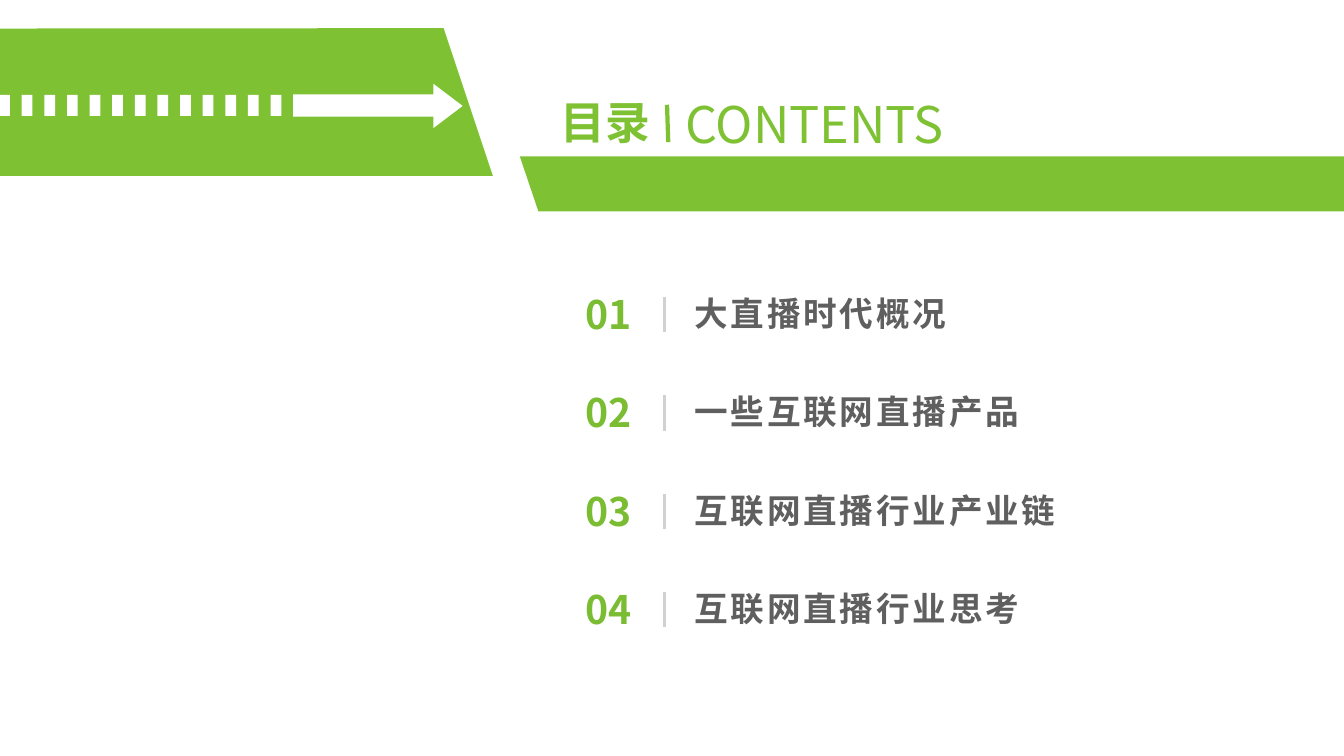
from lxml.etree import SubElement
from pptx import Presentation
from pptx.dml.color import RGBColor
from pptx.enum.shapes import MSO_CONNECTOR as CONN
from pptx.enum.text import MSO_ANCHOR as ANCHOR, PP_ALIGN as ALIGN
from pptx.oxml.ns import qn
from pptx.util import Cm, Pt

TOPICS = ["大直播时代概况", "一些互联网直播产品", "互联网直播行业产业链", "互联网直播行业思考"]
FONT = "Noto Sans CJK SC"
GREEN, NUMBER_GREEN, GREY, RULE, WHITE = "7EC234", "7ABC32", "5F5F5F", "D1D1D1", "FFFFFF"
WIDTH, HEIGHT = 33.87, 19.05

TITLE_BAND = [(13.1, 3.94), (WIDTH, 3.94), (WIDTH, 5.33), (13.57, 5.33)]
ARROW_BAND = [(0, 0.72), (11.18, 0.71), (12.42, 4.43), (0, 4.43)]
ARROW = [(10.92, 2.11), (11.66, 2.67), (10.92, 3.23), (10.92, 2.94),
         (7.39, 2.94), (7.39, 2.38), (10.92, 2.38)]
DASHES, DASH_LEFT, DASH_STEP, DASH_WIDTH = 13, -0.02, 0.57, 0.27
DASH_TOP, DASH_BOTTOM = 2.39, 2.92
ROW_TOP, ROW_STEP, ROW_HEIGHT = 7.15, 2.48, 1.52


def rgb(color):
    return RGBColor.from_string(color)


def add_text(slide, text, box, size, color, bold=True, align=ALIGN.LEFT, inset=None, spacing=0):
    tf = slide.shapes.add_textbox(*map(Cm, box)).text_frame
    tf.word_wrap = True
    if inset is not None:
        tf.margin_left = tf.margin_right = tf.margin_top = tf.margin_bottom = Cm(inset)
        tf.vertical_anchor = ANCHOR.MIDDLE
    p = tf.paragraphs[0]
    p.text = text
    p.alignment = align
    font = p.font
    font.size, font.bold, font.name = Pt(size), bold, FONT
    font.color.rgb = rgb(color)
    props = p._p.pPr.find(qn("a:defRPr"))
    SubElement(props, qn("a:ea")).set("typeface", FONT)
    if spacing:
        props.set("spc", str(spacing * 100))


def add_line(slide, start, end, color, width):
    line = slide.shapes.add_connector(CONN.STRAIGHT, *map(Cm, start + end))
    line.line.color.rgb = rgb(color)
    line.line.width = Pt(width)
    SubElement(line._element.spPr, qn("a:effectLst"))


def add_outline(slide, outlines, color):
    contours = [[(Cm(x), Cm(y)) for x, y in outline] for outline in outlines]
    builder = slide.shapes.build_freeform(*contours[0][0])
    for i, contour in enumerate(contours):
        if i:
            builder.move_to(*contour[0])
        builder.add_line_segments(contour[1:], close=True)
    sp = builder.convert_to_shape()
    sp.shadow.inherit = False
    sp.fill.solid()
    sp.fill.fore_color.rgb = rgb(color)
    sp.line.fill.background()


def dash(i):
    left = DASH_LEFT + i * DASH_STEP
    right = left + DASH_WIDTH
    return [(left, DASH_TOP), (right, DASH_TOP), (right, DASH_BOTTOM), (left, DASH_BOTTOM)]


def main():
    prs = Presentation()
    prs.slide_width, prs.slide_height = Cm(WIDTH), Cm(HEIGHT)
    s = prs.slides.add_slide(prs.slide_layouts[6])

    for i, topic in enumerate(TOPICS):
        top = ROW_TOP + i * ROW_STEP
        add_text(s, f"{i + 1:02}", (14.6, top, 1.48, ROW_HEIGHT), 28, NUMBER_GREEN,
                 align=ALIGN.CENTER, inset=0)
        add_text(s, topic, (17.5, top - 0.02, 13.13, ROW_HEIGHT), 24, GREY, inset=0, spacing=2)
        add_line(s, (16.75, top + 0.33), (16.75, top + 1.22), RULE, 2)

    add_outline(s, [TITLE_BAND], GREEN)
    add_text(s, "目录", (12.9, 2.26, 3.73, 1.63), 32, GREEN, align=ALIGN.RIGHT)
    add_line(s, (16.81, 2.64), (16.84, 3.58), GREEN, 3)
    add_text(s, "CONTENTS", (17.02, 2.21, 9.3, 1.8), 36, GREEN, bold=False)

    add_outline(s, [ARROW_BAND], GREEN)
    add_outline(s, [dash(i) for i in range(DASHES)] + [ARROW], WHITE)
    prs.save("out.pptx")


if __name__ == "__main__":
    main()
